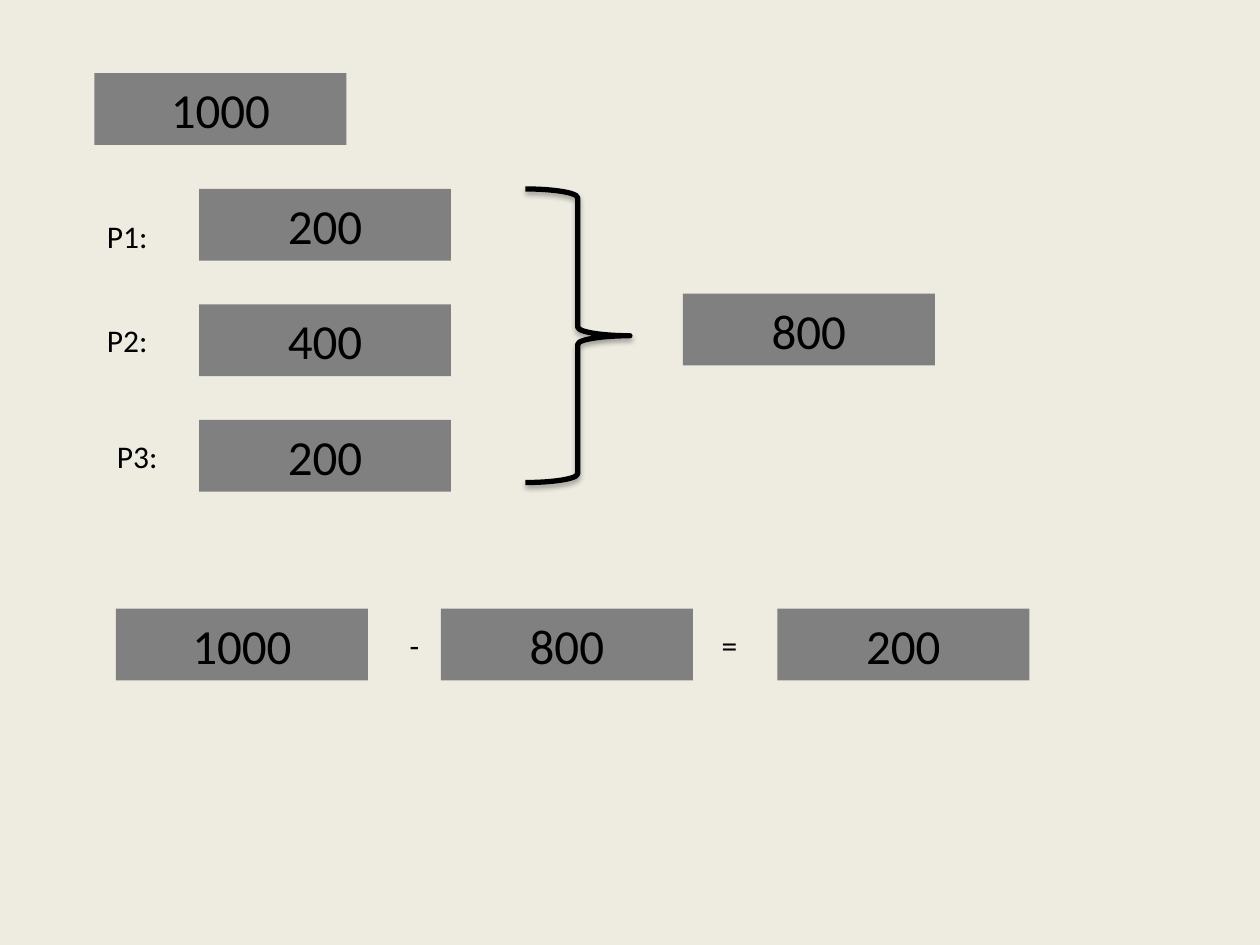
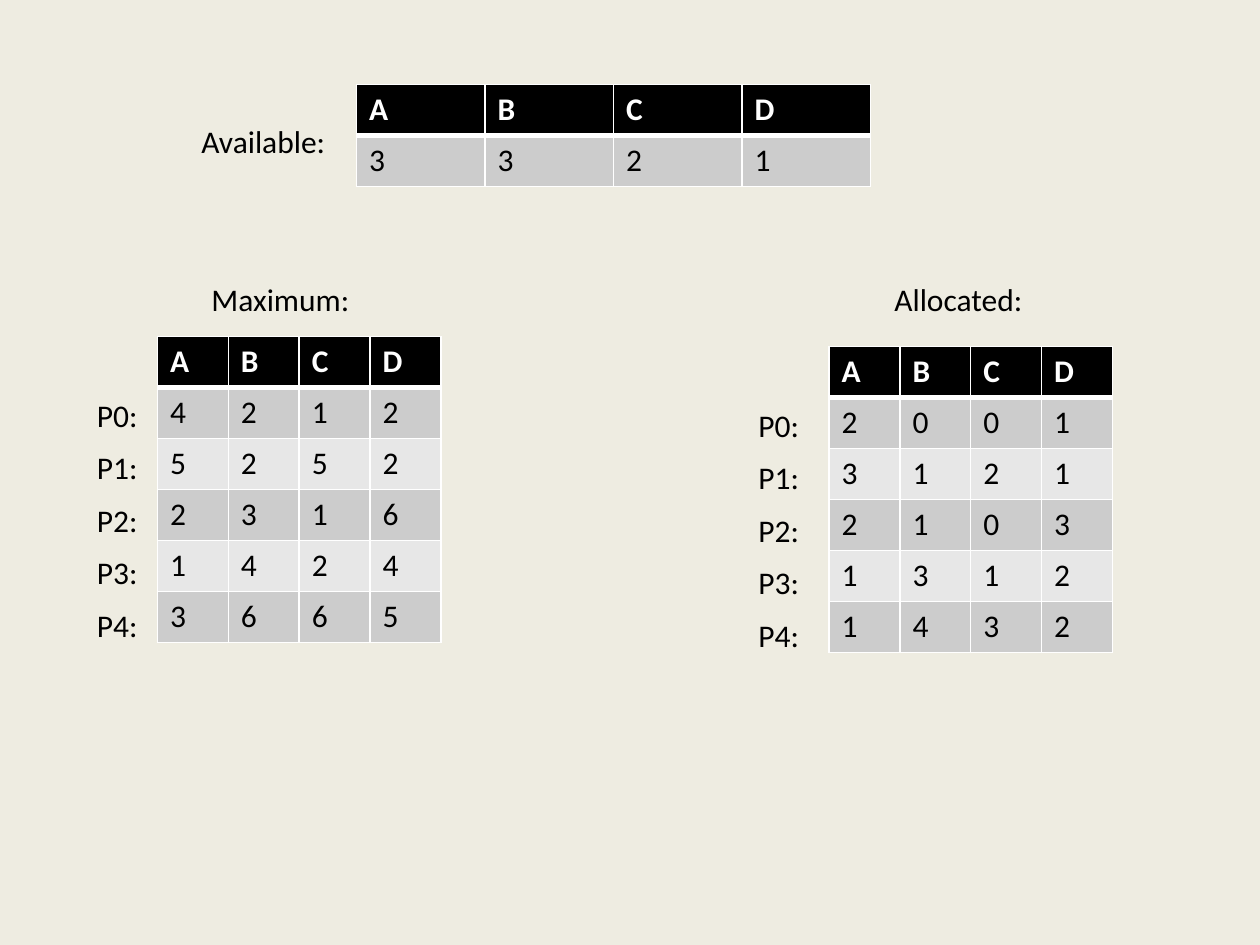
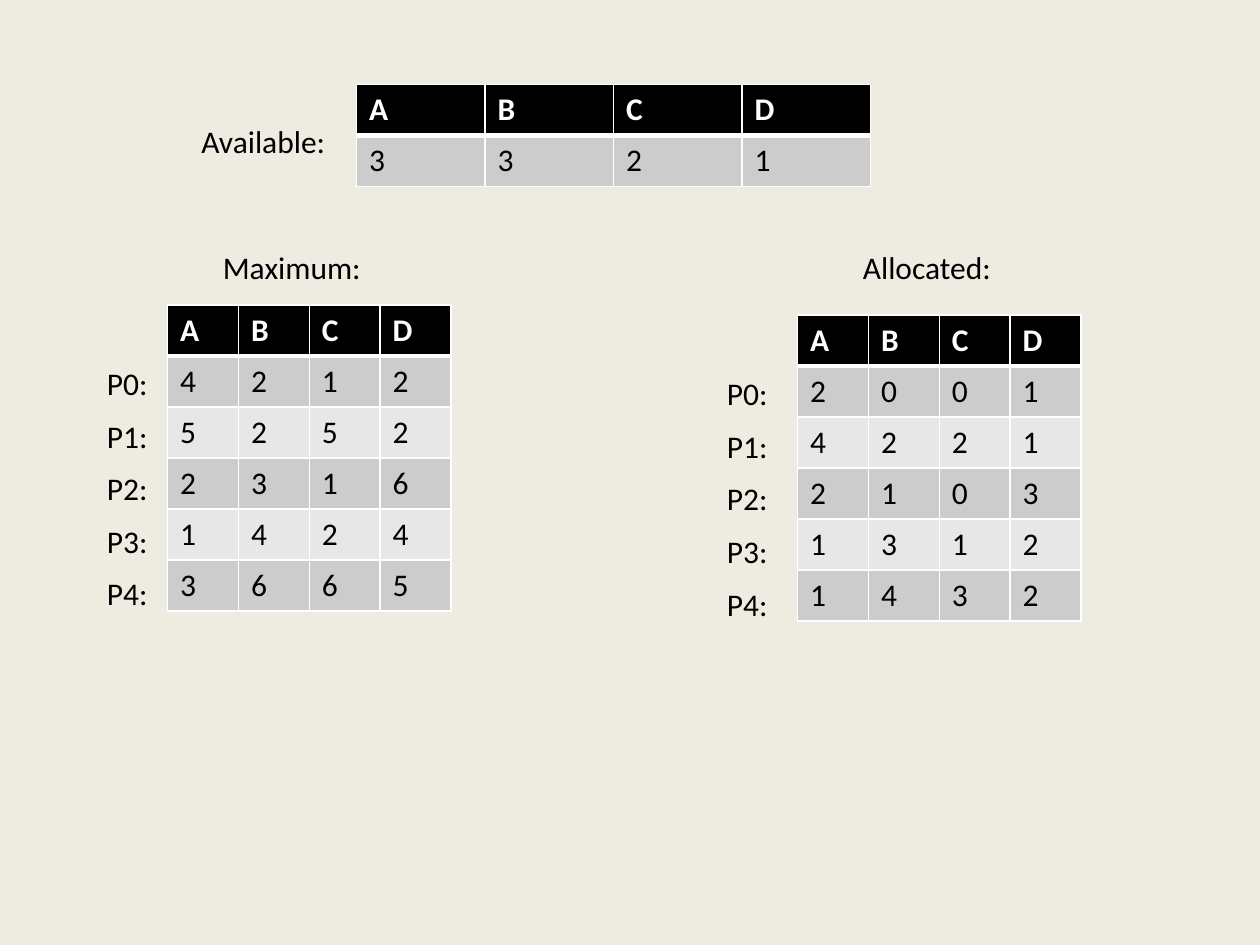
"""Build three slides on resource allocation: one worked sum and two allocation states."""
import pptx
import pptx.dml.color
import pptx.enum.shapes
import pptx.enum.text
import pptx.oxml
import pptx.oxml.ns
import pptx.util
from pptx.util import Inches

COLOURS = {
    "background": "EEECE1",
    "box": "808080",
    "ink": "000000",
    "paper": "FFFFFF",
    "odd row": "CCCCCC",
    "even row": "E7E7E7",
}
RGB = {name: pptx.dml.color.RGBColor.from_string(value) for name, value in COLOURS.items()}
FONT = "Calibri"
LABEL_SIZE = 18
BOX_SIZE = 28
BOX_WIDTH, BOX_HEIGHT = 2, 0.57
LABEL_HEIGHT = 0.4
SHORT_LABEL, LONG_LABEL = 0.58, 1.33
ROW_HEIGHT = 2.43 / 6
LABEL_PITCH = 1.67 / 4
LEFT = pptx.enum.text.PP_ALIGN.LEFT
CENTER = pptx.enum.text.PP_ALIGN.CENTER


def add_text(slide, text, left, top, width=SHORT_LABEL, boxed=False, align=LEFT):
    """Add a plain label, or a grey box holding a number."""
    if boxed:
        rectangle = pptx.enum.shapes.MSO_SHAPE.RECTANGLE
        shape = slide.shapes.add_shape(
            rectangle, Inches(left), Inches(top), Inches(BOX_WIDTH), Inches(BOX_HEIGHT))
        shape.shadow.inherit = False
        shape.fill.solid()
        shape.fill.fore_color.rgb = RGB["box"]
        shape.line.fill.background()
        align = CENTER
    else:
        shape = slide.shapes.add_textbox(
            Inches(left), Inches(top), Inches(width), Inches(LABEL_HEIGHT))
    frame = shape.text_frame
    frame.word_wrap = True
    frame.auto_size = pptx.enum.text.MSO_AUTO_SIZE.SHAPE_TO_FIT_TEXT
    paragraph = frame.paragraphs[0]
    paragraph.text = text
    paragraph.alignment = align
    font_format = {"name": FONT, "size": pptx.util.Pt(BOX_SIZE if boxed else LABEL_SIZE)}
    for attribute, value in font_format.items():
        setattr(paragraph.runs[0].font, attribute, value)
    paragraph.runs[0].font.color.rgb = RGB["ink"]


def add_matrix(slide, rows, left, top, width):
    """Add a table with resource headings A to D above rows of digits."""
    rows = ["ABCD", *rows]
    frame = slide.shapes.add_table(
        len(rows), 4, Inches(left), Inches(top), Inches(width), Inches(ROW_HEIGHT * len(rows)))
    table = frame.table
    for column in table.columns:
        column.width = Inches(width / 4)
    for row_index, row in enumerate(rows):
        table.rows[row_index].height = Inches(ROW_HEIGHT)
        header = row_index == 0
        fill = "ink" if header else "odd row" if row_index % 2 else "even row"
        borders = {"lnL": 1, "lnR": 1, "lnT": 3 if row_index == 1 else 1, "lnB": 3 if header else 1}
        for column_index, text in enumerate(row):
            cell = table.cell(row_index, column_index)
            properties = cell._tc.get_or_add_tcPr()
            for tag, points in borders.items():
                properties.append(pptx.oxml.parse_xml(
                    f'<a:{tag} {pptx.oxml.ns.nsdecls("a")} w="{pptx.util.Pt(points)}">'
                    f'<a:solidFill><a:srgbClr val="{COLOURS["paper"]}"/></a:solidFill></a:{tag}>'))
            cell.fill.solid()
            cell.fill.fore_color.rgb = RGB[fill]
            cell.text = text
            font = cell.text_frame.paragraphs[0].runs[0].font
            font_format = {"name": FONT, "size": pptx.util.Pt(LABEL_SIZE), "bold": header}
            for attribute, value in font_format.items():
                setattr(font, attribute, value)
            font.color.rgb = RGB["paper" if header else "ink"]


presentation = pptx.Presentation()
presentation.slide_width = Inches(10)
presentation.slide_height = Inches(7.5)
slides = []
for _ in range(3):
    slide = presentation.slides.add_slide(presentation.slide_layouts[6])
    slide.background.fill.solid()
    slide.background.fill.fore_color.rgb = RGB["background"]
    slides.append(slide)

sum_slide = slides[0]
add_text(sum_slide, "1000", 0.75, 0.58, boxed=True)
brace = sum_slide.shapes.add_shape(
    pptx.enum.shapes.MSO_SHAPE.RIGHT_BRACE, Inches(4.17), Inches(1.5), Inches(0.83), Inches(2.33))
brace.fill.background()
brace.line.color.rgb = RGB["ink"]
brace.line.width = pptx.util.Pt(3)
brace.shadow.inherit = False
effects = brace._element.spPr.find(pptx.oxml.ns.qn("a:effectLst"))
effects.append(pptx.oxml.parse_xml(
    f'<a:outerShdw {pptx.oxml.ns.nsdecls("a")} blurRad="{pptx.util.Pt(3.1)}" '
    f'dist="{pptx.util.Pt(1.8)}" dir="5400000" rotWithShape="0">'
    f'<a:srgbClr val="{COLOURS["ink"]}"><a:alpha val="35000"/></a:srgbClr></a:outerShdw>'))
add_text(sum_slide, "800", 5.42, 2.33, boxed=True)

requests = [("P1:", "200", 0.75, 1.67), ("P2:", "400", 0.75, 2.5), ("P3:", "200", 0.83, 3.42)]
for index, (process, amount, label_left, label_top) in enumerate(requests):
    add_text(sum_slide, amount, 1.58, 1.5 + index * 11 / 12, boxed=True)
    add_text(sum_slide, process, label_left, label_top)

for amount, left in [("1000", 0.92), ("800", 3.5), ("200", 6.17)]:
    add_text(sum_slide, amount, left, 4.83, boxed=True)
for operator, left in [("-", 3), ("=", 5.5)]:
    add_text(sum_slide, operator, left, 4.92, align=CENTER)

maximum = ["4212", "5252", "2316", "1424", "3665"]
states = [
    (slides[1], 2.17, [
        ("Maximum:", 1.58, maximum, 1.25, 2.67, 0.67),
        ("Allocated:", 7, ["2001", "3121", "2103", "1312", "1432"], 6.58, 2.75, 5.92),
    ]),
    (slides[2], 1.92, [
        ("Maximum:", 1.67, maximum, 1.33, 2.42, 0.75),
        ("Allocated:", 6.75, ["2001", "4221", "2103", "1312", "1432"], 6.33, 2.5, 5.67),
    ]),
]
for slide, caption_top, matrices in states:
    add_matrix(slide, ["3321"], 2.83, 0.67, 4.08)
    add_text(slide, "Available:", 1.5, 0.92, LONG_LABEL)
    for caption, caption_left, rows, left, top, label_left in matrices:
        add_text(slide, caption, caption_left, caption_top, LONG_LABEL)
        add_matrix(slide, rows, left, top, 2.25)
        for index in range(len(rows)):
            add_text(slide, f"P{index}:", label_left, top + 0.42 + index * LABEL_PITCH)

presentation.save("out.pptx")
